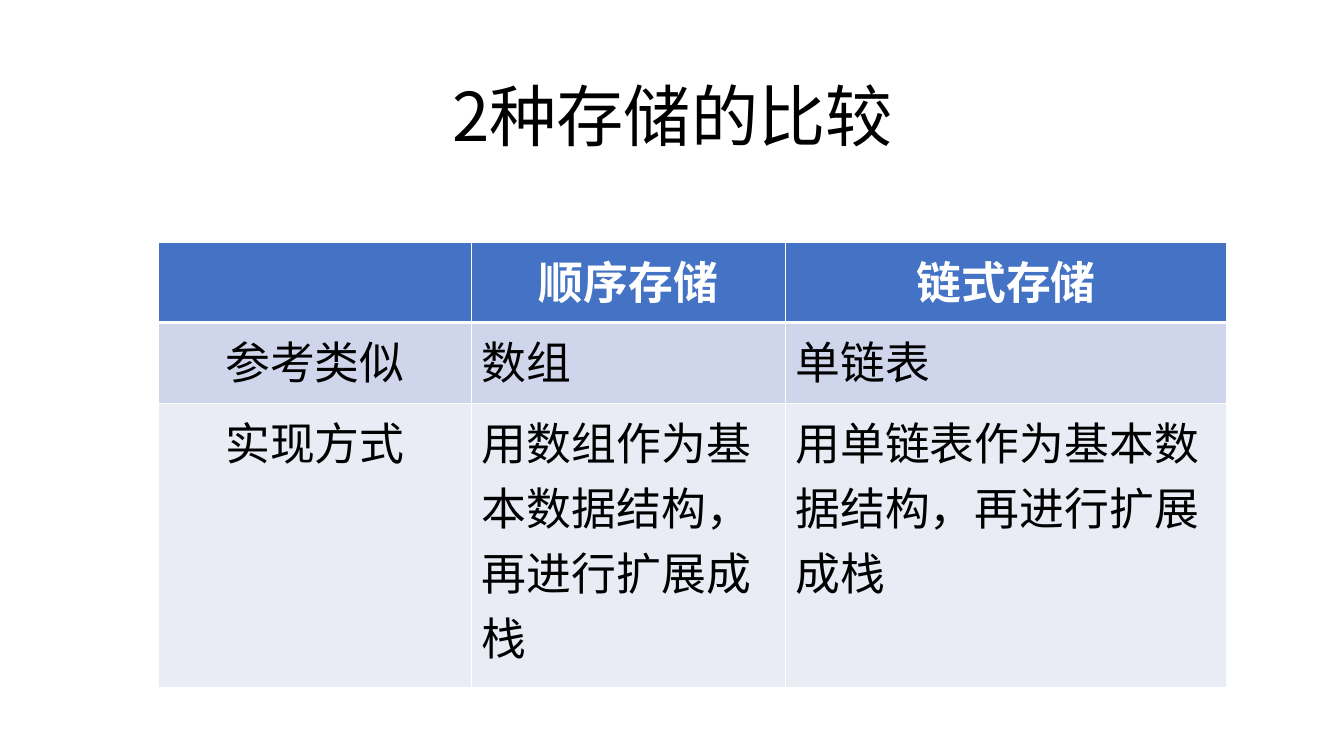
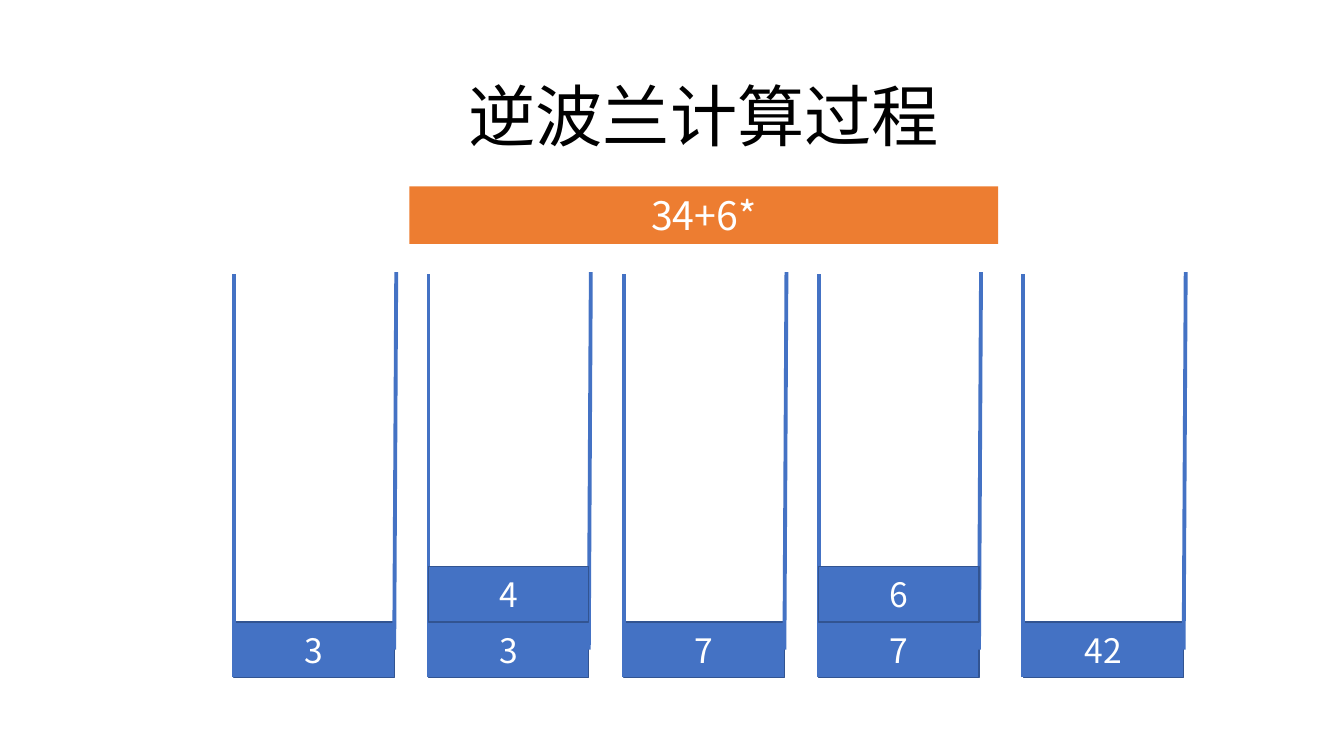
from lxml.etree import SubElement
from pptx import Presentation
from pptx.dml.color import RGBColor
from pptx.enum.shapes import MSO_CONNECTOR, MSO_SHAPE
from pptx.enum.text import MSO_ANCHOR, PP_ALIGN
from pptx.oxml.ns import qn
from pptx.util import Inches, Pt

FONT = "Noto Sans CJK SC"
BLACK, WHITE = "000000", "FFFFFF"
BLUE, DARK_BLUE, ORANGE = "4472C4", "325491", "ED7D31"
ROW_FILLS = [BLUE, "CFD5EA", "E9EBF5"]

TABLE_TITLE = "2种存储的比较"
TABLE_ROWS = [
    ["", "顺序存储", "链式存储"],
    ["参考类似", "数组", "单链表"],
    ["实现方式", "用数组作为基本数据结构，再进行扩展成栈",
     "用单链表作为基本数据结构，再进行扩展成栈"],
]
TABLE_LEFT, TABLE_TOP = 1.57, 2.4
COL_WIDTHS = [3.11, 3.11, 4.38]
ROW_HEIGHTS = [0.8, 0.8, 2.82]

STACK_TITLE = "逆波兰计算过程"
EXPRESSION = "34+6*"
# Left edge of each stack and its values from the bottom up
STACKS = [(2.32, ["3"]), (4.25, ["3", "4"]), (6.19, ["7"]),
          (8.12, ["7", "6"]), (10.15, ["42"])]
STACK_BOTTOM, STACK_TOP = 6.72, 2.7
BLOCK_W, BLOCK_H = 1.59, 0.55


def rgb(value):
    return RGBColor.from_string(value)


def write(tf, text, size, color, align=PP_ALIGN.CENTER, bold=False):
    tf.text = text
    p = tf.paragraphs[0]
    p.alignment = align
    for r in p.runs:
        r.font.size, r.font.bold, r.font.name = Pt(size), bold, FONT
        r.font.color.rgb = rgb(color)
        SubElement(r.font._element, qn("a:ea"), typeface=FONT)


def add_titled_slide(prs, title, left):
    s = prs.slides.add_slide(prs.slide_layouts[6])
    sp = s.shapes.add_textbox(Inches(left), Inches(0.69), Inches(8.84), Inches(0.91))
    sp.text_frame.word_wrap = True
    write(sp.text_frame, title, 48, BLACK)
    return s


def add_box(s, left, top, width, height, text, size, fill, line=None):
    sp = s.shapes.add_shape(MSO_SHAPE.RECTANGLE, Inches(left), Inches(top),
                            Inches(width), Inches(height))
    sp.shadow.inherit = False
    sp.fill.solid()
    sp.fill.fore_color.rgb = rgb(fill)
    if line:
        sp.line.color.rgb = rgb(line)
        sp.line.width = Pt(1)
    else:
        sp.line.fill.background()
    sp.text_frame.vertical_anchor = MSO_ANCHOR.MIDDLE
    write(sp.text_frame, text, size, WHITE)


def add_wall(s, x1, y1, x2, y2):
    line = s.shapes.add_connector(MSO_CONNECTOR.STRAIGHT, Inches(x1), Inches(y1),
                                  Inches(x2), Inches(y2))
    line.line.color.rgb = rgb(BLUE)
    line.line.width = Pt(2.75)
    SubElement(line._element.spPr, qn("a:effectLst"))


def set_borders(cell, top, bottom):
    """Draw white cell borders; top and bottom widths are in points."""
    tc_pr = cell._tc.get_or_add_tcPr()
    for side, width in (("L", 1), ("R", 1), ("T", top), ("B", bottom)):
        ln = SubElement(tc_pr, qn(f"a:ln{side}"), w=str(Pt(width)))
        SubElement(SubElement(ln, qn("a:solidFill")), qn("a:srgbClr"), val=WHITE)


def build_comparison(prs):
    s = add_titled_slide(prs, TABLE_TITLE, 2.25)
    table = s.shapes.add_table(
        len(ROW_HEIGHTS), len(COL_WIDTHS), Inches(TABLE_LEFT), Inches(TABLE_TOP),
        Inches(sum(COL_WIDTHS)), Inches(sum(ROW_HEIGHTS))).table
    for col, width in zip(table.columns, COL_WIDTHS):
        col.width = Inches(width)
    for i, texts in enumerate(TABLE_ROWS):
        table.rows[i].height = Inches(ROW_HEIGHTS[i])
        header = i == 0
        for j, text in enumerate(texts):
            cell = table.cell(i, j)
            set_borders(cell, top=3 if i == 1 else 1, bottom=3 if header else 1)
            cell.fill.solid()
            cell.fill.fore_color.rgb = rgb(ROW_FILLS[i])
            centred = header or j == 0
            write(cell.text_frame, text, 32, WHITE if header else BLACK,
                  PP_ALIGN.CENTER if centred else PP_ALIGN.LEFT, header)


def build_stacks(prs):
    s = add_titled_slide(prs, STACK_TITLE, 2.56)
    for left, values in STACKS:
        right = left + BLOCK_W
        add_box(s, left, STACK_BOTTOM - BLOCK_H, BLOCK_W, BLOCK_H,
                values[0], 24, BLUE, DARK_BLUE)
        add_wall(s, right, STACK_BOTTOM - BLOCK_H / 2, right + 0.02, STACK_TOP)
        add_wall(s, left, STACK_BOTTOM, left, STACK_TOP + 0.02)
        for level, value in enumerate(values[1:], 2):
            add_box(s, left, STACK_BOTTOM - level * BLOCK_H, BLOCK_W, BLOCK_H,
                    value, 24, BLUE, DARK_BLUE)
    add_box(s, 4.06, 1.85, 5.84, 0.57, EXPRESSION, 28, ORANGE)


def main():
    prs = Presentation()
    prs.slide_width, prs.slide_height = Inches(13.33), Inches(7.5)
    build_comparison(prs)
    build_stacks(prs)
    prs.save("out.pptx")


if __name__ == "__main__":
    main()
